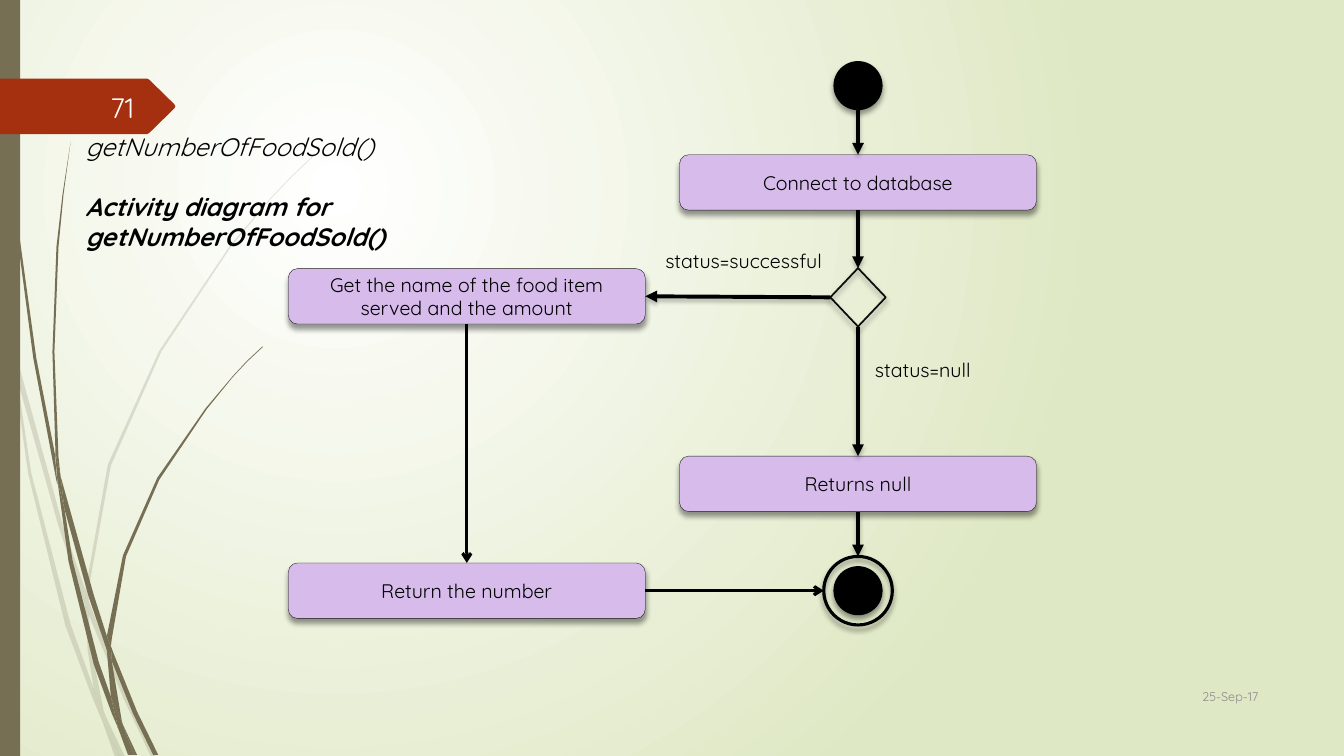
from pptx import Presentation
from pptx.dml.color import RGBColor
from pptx.enum.shapes import MSO_CONNECTOR, MSO_SHAPE
from pptx.enum.text import MSO_ANCHOR, MSO_AUTO_SIZE, PP_ALIGN
from pptx.oxml.ns import qn
from pptx.util import Inches, Pt
from lxml.etree import SubElement

BLACK = RGBColor(0x00, 0x00, 0x00)
WHITE = RGBColor(0xFF, 0xFF, 0xFF)
PALE = RGBColor(0xDF, 0xE8, 0xC4)
OLIVE = RGBColor(0x76, 0x6F, 0x54)
RUST = RGBColor(0xA5, 0x30, 0x10)
LILAC = RGBColor(0xD6, 0xBB, 0xEB)
GREY = RGBColor(0x8C, 0x8C, 0x8C)
INK = RGBColor(0x0D, 0x0D, 0x0D)
FONT = "Quicksand"

# Corners of each blade of grass, in inches.
FAINT_GRASS = [
    [(0.11, 3.5), (0.09, 3.22), (0, 2.82), (0, 2.99), (0.1, 3.44)],
    [(0.58, 5.22), (0.84, 5.99), (0.85, 5.86), (0.62, 5.2), (0.14, 3.45), (0.17, 3.76)],
    [(0.92, 6.07), (0.88, 5.96), (0.88, 6.1), (1.23, 6.94), (1.5, 7.51), (1.55, 7.51), (1.27, 6.92)],
    [(1.19, 7.51), (1.24, 7.51), (1.05, 7.11)],
    [(0.93, 6.83), (0.7, 6.19), (0.31, 4.69), (0.17, 3.76), (0.11, 3.5), (0.28, 4.7), (0.65, 6.21),
     (0.92, 6.93), (1.01, 7.14), (0.99, 7.07)],
    [(0.84, 5.99), (0.87, 6.46), (0.93, 6.83), (0.96, 6.92), (1.05, 7.11), (1.03, 7.06), (0.91, 6.46),
     (0.88, 6.1), (0.88, 6.08)],
    [(0.88, 5.84), (1.1, 4.62), (1.6, 3.49), (2.29, 2.45), (2.68, 1.98), (2.9, 1.75), (3.12, 1.54),
     (3.12, 1.53), (2.89, 1.75), (2.68, 1.97), (2.28, 2.44), (1.58, 3.48), (1.07, 4.61), (0.85, 5.84),
     (0.85, 5.86), (0.88, 5.96)],
    [(1.01, 7.14), (1.14, 7.51), (1.19, 7.51)],
    [(0.88, 6.08), (0.88, 6.1), (0.88, 5.96), (0.85, 5.86), (0.84, 5.99)],
    [(0.96, 6.92), (0.93, 6.83), (0.99, 7.07), (1.01, 7.14), (1.19, 7.51), (1.05, 7.11)],
]
DARK_GRASS = [
    [(0.07, 1.1), (0.17, 2.33), (0.33, 3.55), (0.56, 4.77), (0.57, 4.81), (0.55, 4.57), (0.55, 4.53),
     (0.36, 3.55), (0.19, 2.32), (0.08, 1.09), (0.05, 0.48), (0.04, 0), (0.03, 0), (0.04, 0.48)],
    [(0.88, 5.92), (1.06, 6.45), (1.06, 6.33), (1.06, 6.31), (0.93, 5.9), (0.6, 4.72), (0.64, 5.05)],
    [(1.13, 6.49), (1.1, 6.41), (1.11, 6.56), (1.32, 7.08), (1.52, 7.49), (1.57, 7.49), (1.36, 7.06)],
    [(1.1, 6.91), (0.98, 6.57), (0.72, 5.56), (0.64, 5.05), (0.57, 4.77), (0.68, 5.57), (0.93, 6.59),
     (1.11, 7.08), (1.17, 7.22), (1.16, 7.17)],
    [(0.6, 4.72), (0.58, 4.53), (0.54, 3.49), (0.58, 2.45), (0.63, 1.93), (0.7, 1.41), (0.62, 1.93),
     (0.56, 2.45), (0.52, 3.49), (0.55, 4.49)],
    [(1.33, 7.49), (1.36, 7.49), (1.22, 7.19)],
    [(0.57, 4.77), (0.64, 5.05), (0.6, 4.72), (0.55, 4.49), (0.55, 4.53)],
    [(1.11, 6.33), (1.25, 5.52), (1.58, 4.76), (2.05, 4.06), (2.31, 3.74), (2.45, 3.59), (2.61, 3.44),
     (2.6, 3.44), (2.45, 3.58), (2.31, 3.73), (2.04, 4.05), (1.56, 4.74), (1.22, 5.51), (1.06, 6.31),
     (1.1, 6.41)],
    [(1.17, 7.22), (1.27, 7.49), (1.31, 7.49)],
    [(1.06, 6.45), (1.1, 6.91), (1.16, 7.06), (1.22, 7.19), (1.21, 7.16), (1.11, 6.56), (1.09, 6.51)],
    [(1.06, 6.45), (1.09, 6.51), (1.11, 6.56), (1.1, 6.41), (1.06, 6.31), (1.06, 6.33)],
    [(1.16, 7.06), (1.1, 6.91), (1.16, 7.17), (1.17, 7.22), (1.3, 7.49), (1.33, 7.49), (1.22, 7.19)],
]


def fade(color, percent):
    SubElement(color, qn("a:alpha"), val=str(percent * 1000))


def shade(shape, blur=0, drop=0, alpha=0):
    """Replace the theme shadow by a straight drop shadow, or by none."""
    effects = SubElement(shape._element.spPr, qn("a:effectLst"))
    if alpha:
        shadow = SubElement(effects, qn("a:outerShdw"), blurRad=str(Pt(blur)),
                            dist=str(Pt(drop)), dir="5400000", rotWithShape="0")
        fade(SubElement(shadow, qn("a:srgbClr"), val=str(BLACK)), alpha)


def write(shape, lines, size, color=BLACK, align=PP_ALIGN.LEFT, anchor=MSO_ANCHOR.TOP, wrap=True):
    frame = shape.text_frame
    frame.text = "\n".join(lines)
    for name, value in {"word_wrap": wrap, "vertical_anchor": anchor,
                        "auto_size": MSO_AUTO_SIZE.NONE}.items():
        setattr(frame, name, value)
    for para in frame.paragraphs:
        para.alignment = align
        for name, value in {"name": FONT, "size": Pt(size)}.items():
            setattr(para.font, name, value)
        para.font.color.rgb = color
    return frame.paragraphs


def label(slide, box, text, size, **style):
    write(slide.shapes.add_textbox(*map(Inches, box)), [text], size, **style)


def paint(shape, color):
    shape.fill.solid()
    shape.fill.fore_color.rgb = color


def outline(slide, points, color, alpha=100):
    points = [(Inches(x), Inches(y)) for x, y in points]
    pen = slide.shapes.build_freeform(*points[0])
    pen.add_line_segments(points[1:], close=True)
    shape = pen.convert_to_shape()
    paint(shape, color)
    shape.line.fill.background()
    shape.shadow.inherit = False
    if alpha < 100:
        fade(shape._element.spPr.find(".//" + qn("a:srgbClr")), alpha)


def draw_backdrop(slide, height):
    fill = slide.background.fill
    fill.gradient()
    for stop, color, place in zip(fill.gradient_stops, (WHITE, PALE), (0, 1)):
        stop.color.rgb = color
        stop.position = place
    grad = slide.background._cSld.find(".//" + qn("a:gradFill"))
    grad.remove(grad.find(qn("a:lin")))
    circle = SubElement(grad, qn("a:path"), {"path": "circle"})
    SubElement(circle, qn("a:fillToRect"), l="50000", t="50000", r="100000", b="100000")
    for blades, alpha in ((FAINT_GRASS, 20), (DARK_GRASS, 100)):
        for blade in blades:
            outline(slide, blade, OLIVE, alpha)
    strip = slide.shapes.add_shape(MSO_SHAPE.RECTANGLE, 0, 0, Inches(0.2), Inches(height))
    paint(strip, OLIVE)
    strip.line.fill.background()
    strip.shadow.inherit = False


def draw_banner(slide, top, width, height, number):
    neck, mid, base = width - 0.26, top + height / 2, top + height
    outline(slide, [(0, top), (neck - 0.02, top), (neck, top + 0.01), (width - 0.01, mid - 0.02),
                    (width, mid), (width - 0.01, mid + 0.02), (neck, base - 0.01),
                    (neck - 0.02, base), (0, base)], RUST)
    label(slide, (0.58, top + 0.08, 0.85, 0.4), number, 20, color=WHITE,
          align=PP_ALIGN.RIGHT, anchor=MSO_ANCHOR.MIDDLE)


def fill_title(slide, box):
    title = slide.shapes.title
    title.left, title.top, title.width, title.height = map(Inches, box)
    method, caption = write(title, ["getNumberOfFoodSold()",
                                    "Activity diagram for getNumberOfFoodSold()"], 18)
    method.font.italic = caption.font.italic = caption.font.bold = True
    caption.space_before = Pt(21.4)


def node(slide, kind, center, size, fill=None, line=BLACK, weight=1.25):
    (x, y), (width, height) = center, size
    box = (x - width / 2, y - height / 2, width, height)
    shape = slide.shapes.add_shape(kind, *map(Inches, box))
    if fill is None:
        shape.fill.background()
    else:
        paint(shape, fill)
    shape.line.color.rgb = line
    shape.line.width = Pt(weight)
    shade(shape, 4, 3, 40)
    return shape


def action(slide, center, text):
    shape = node(slide, MSO_SHAPE.FLOWCHART_ALTERNATE_PROCESS, center, (3.54, 0.55), LILAC, weight=0.25)
    fade(shape._element.spPr.find(".//" + qn("a:ln") + "//" + qn("a:srgbClr")), 88)
    write(shape, [text], 14, align=PP_ALIGN.CENTER, anchor=MSO_ANCHOR.MIDDLE)
    return shape


def port(shape, side):
    """Return the middle of one side of a shape."""
    across, down = {"top": (0.5, 0), "left": (0, 0.5), "bottom": (0.5, 1), "right": (1, 0.5)}[side]
    return int(shape.left + across * shape.width), int(shape.top + down * shape.height)


def flow(slide, start, out, end, into, bold=True):
    arrow = slide.shapes.add_connector(MSO_CONNECTOR.STRAIGHT, *port(start, out), *port(end, into))
    arrow.line.color.rgb = BLACK
    arrow.line.width = Pt(2.8 if bold else 2.25)
    SubElement(arrow.line._get_or_add_ln(), qn("a:tailEnd"), type="triangle" if bold else "arrow")
    shade(arrow, *((3, 2, 25) if bold else ()))


def draw_diagram(slide, left, top):
    side, main, split, finish = left + 1.77, left + 5.65, top + 2.34, top + 5.25
    dot = MSO_SHAPE.FLOWCHART_CONNECTOR
    start = node(slide, dot, (main, top + 0.24), (0.47, 0.47), BLACK)
    connect = action(slide, (main, top + 1.2), "Connect to database")
    choice = node(slide, MSO_SHAPE.DIAMOND, (main, split), (0.55, 0.58), line=INK)
    null = action(slide, (main, top + 4.19), "Returns null")
    node(slide, dot, (main, finish), (0.47, 0.47), BLACK)
    ring = node(slide, dot, (main, finish), (0.68, 0.68), weight=2.25)
    fetch = action(slide, (side, split - 0.01), "Get the name of the food item served and the amount")
    result = action(slide, (side, finish), "Return the number")
    for upper, lower in [(start, connect), (connect, choice), (choice, null), (null, ring)]:
        flow(slide, upper, "bottom", lower, "top")
    flow(slide, choice, "left", fetch, "right")
    flow(slide, fetch, "bottom", result, "top", bold=False)
    flow(slide, result, "right", ring, "left", bold=False)
    label(slide, (left + 3.64, split - 0.53, 1.87, 0.34), "status=successful", 14, wrap=False)
    label(slide, (main + 0.07, split + 0.55, 2.36, 0.34), "status=null", 14)


def main():
    deck = Presentation()
    deck.slide_width, deck.slide_height = Inches(13.33), Inches(7.5)
    slide = deck.slides.add_slide(deck.slide_layouts[5])
    draw_backdrop(slide, 7.5)
    draw_banner(slide, 0.78, 1.74, 0.55, "71")
    label(slide, (11.33, 6.7, 1.25, 0.41), "25-Sep-17", 9, color=GREY,
          align=PP_ALIGN.RIGHT, anchor=MSO_ANCHOR.MIDDLE)
    fill_title(slide, (0.75, 1.25, 3.41, 1.31))
    draw_diagram(slide, 2.86, 0.61)
    deck.save("out.pptx")


if __name__ == "__main__":
    main()
